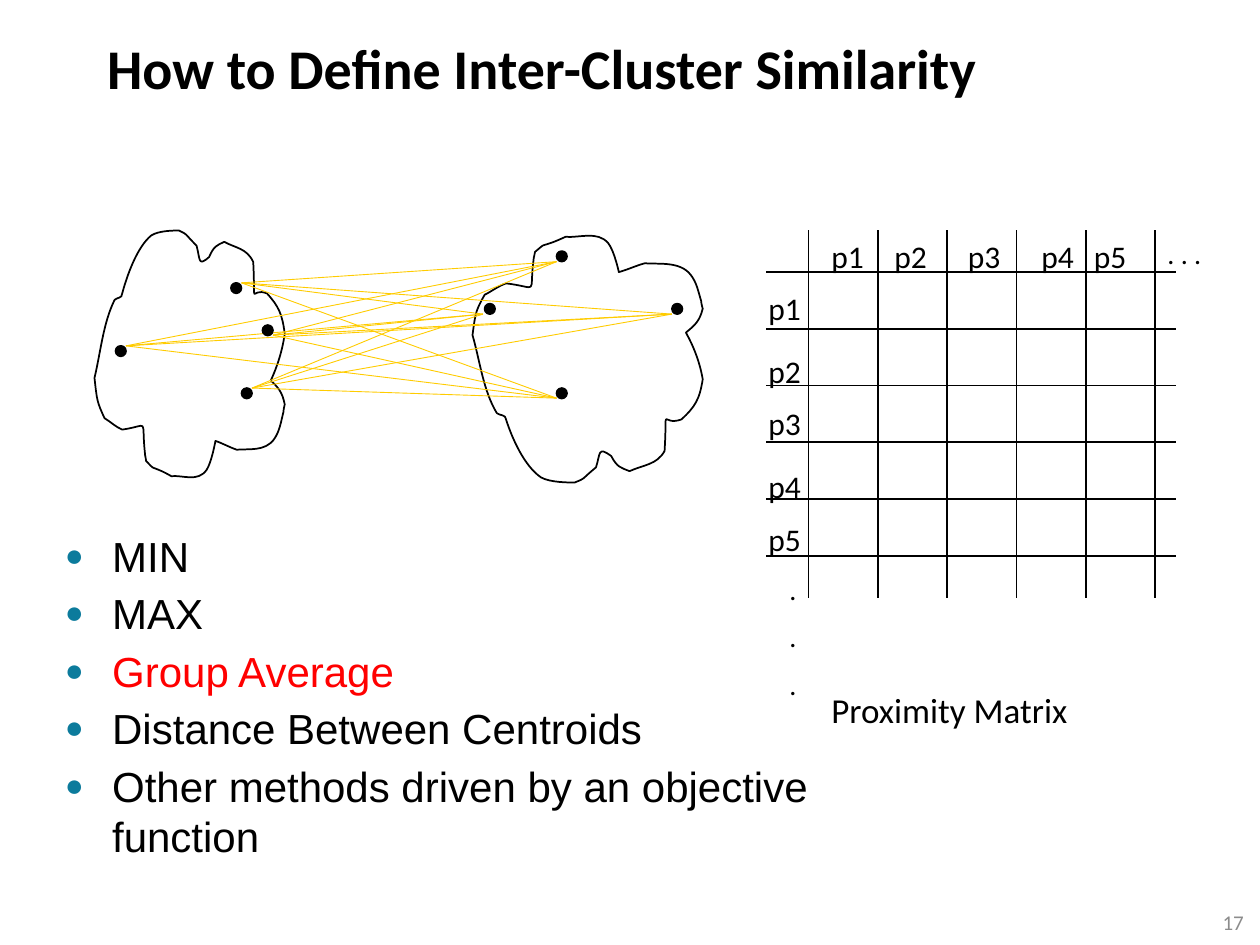
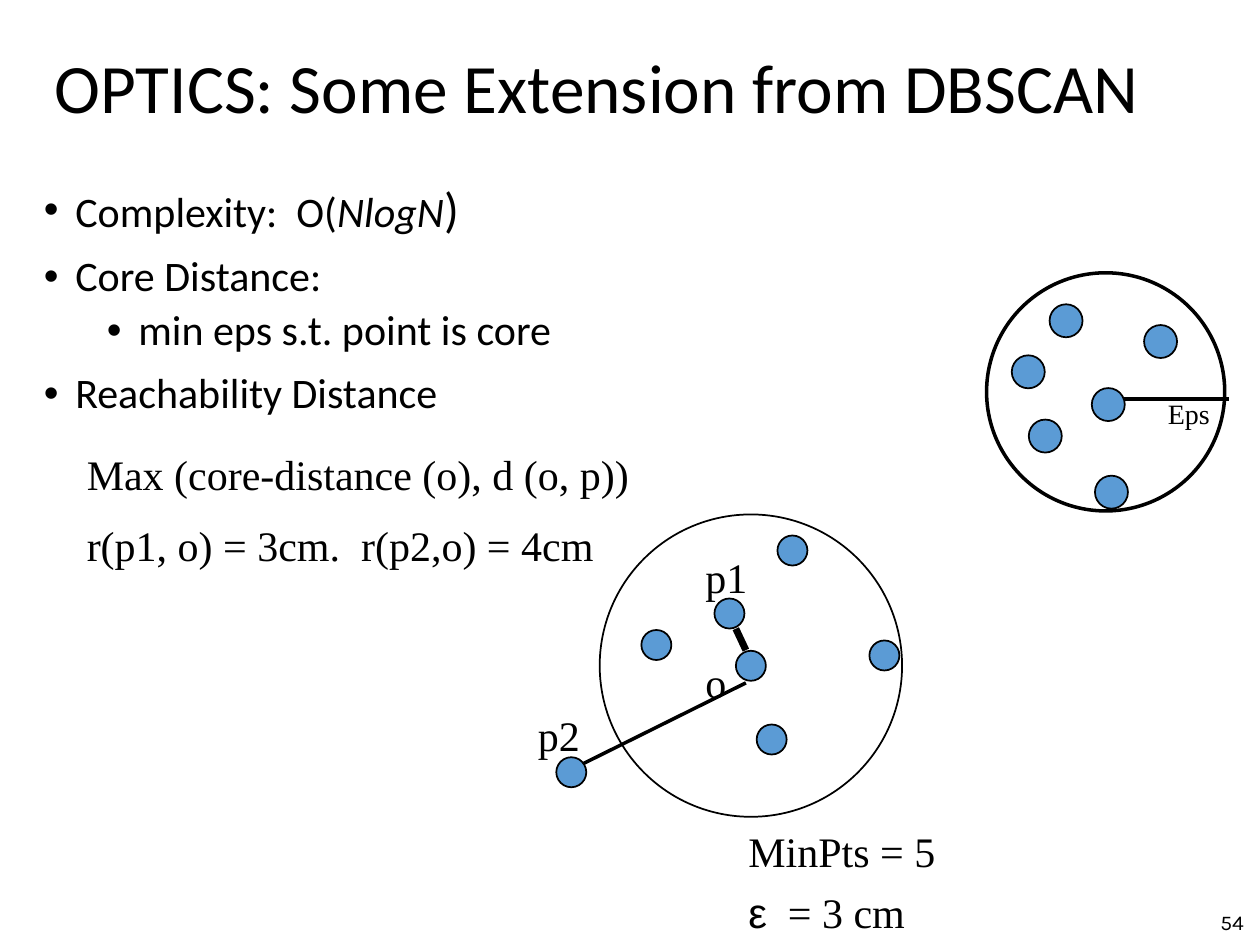
from dataclasses import dataclass
from itertools import product

from lxml import etree
from pptx import Presentation, util as u
from pptx.dml.color import RGBColor
from pptx.enum import shapes, text
from pptx.oxml.ns import qn


@dataclass(frozen=True)
class Theme:
    black: str = "000000"
    gray: str = "8C8C8C"
    red: str = "FF0000"
    teal: str = "0C7B9C"
    yellow: str = "FFCC00"
    blue: str = "5B9BD5"
    sans: str = "Calibri"
    plain: str = "Arial"
    serif: str = "Times New Roman"
    number_font: str = "Karla"
    body: float = 24
    big: float = 28
    caption: float = 20
    label: float = 18
    small: float = 16
    number: float = 12


theme = Theme()
presentation = Presentation()
presentation.slide_width, presentation.slide_height = u.Inches(10), u.Inches(7.5)
# Every position below counts columns and rows of this grid.
COLUMN = presentation.slide_width // 100
ROW = presentation.slide_height // 75


def add_text(slide, box, lines, font, size, color=theme.black, gap=0):
    """Add a wrapped text box with one paragraph per line, gap points apart."""
    left, top, width, height = box
    shape = slide.shapes.add_textbox(
        int(left * COLUMN), int(top * ROW), int(width * COLUMN), int(height * ROW))
    frame = shape.text_frame
    frame.word_wrap = True
    frame.text = "\n".join(lines)
    for index, paragraph in enumerate(frame.paragraphs):
        paragraph.space_before = u.Pt(gap if index else 0)
        for run in paragraph.runs:
            run.font.name, run.font.size = font, u.Pt(size)
            run.font.color.rgb = RGBColor.from_string(color)
    return frame


def style_shape(shape, weight, color=theme.black, fill=None):
    """Set line and fill and drop the shadow; connectors have no fill."""
    shape.line.width = u.Pt(weight)
    shape.line.color.rgb = RGBColor.from_string(color)
    if not hasattr(shape, "fill"):
        etree.SubElement(shape._element.spPr, qn("a:effectLst"))
        return
    shape.shadow.inherit = False
    if fill:
        shape.fill.solid()
        shape.fill.fore_color.rgb = RGBColor.from_string(fill)
    else:
        shape.fill.background()


# Titles and page numbers
slides = []
for heading, box, size, bold, number, number_font, number_color in (
    ("How to Define Inter-Cluster Similarity", (7.5, 3.1, 86.2, 5.2), 32, True,
     "17", theme.sans, theme.gray),
    ("OPTICS: Some Extension from DBSCAN", (3.33, 4.8, 92.5, 4.8), 39.6, False,
     "54", theme.number_font, theme.black),
):
    slide = presentation.slides.add_slide(presentation.slide_layouts[5])
    title = slide.shapes.title
    title.left, title.width = int(box[0] * COLUMN), int(box[2] * COLUMN)
    title.top, title.height = int(box[1] * ROW), int(box[3] * ROW)
    frame = title.text_frame
    frame.text = heading
    frame.auto_size = text.MSO_AUTO_SIZE.NONE
    frame.vertical_anchor = text.MSO_ANCHOR.MIDDLE
    paragraph = frame.paragraphs[0]
    paragraph.alignment, paragraph.line_spacing = text.PP_ALIGN.LEFT, 0.9
    font = paragraph.runs[0].font
    font.name, font.size, font.bold = theme.sans, u.Pt(size), bold
    font.color.rgb = RGBColor.from_string(theme.black)

    frame = add_text(slide, (77.2, 72, 22.5, 2.3), [number], number_font,
                     theme.number, number_color)
    frame.vertical_anchor = text.MSO_ANCHOR.MIDDLE
    frame.paragraphs[0].alignment = text.PP_ALIGN.RIGHT
    slides.append(slide)
similarity, optics = slides

# Proximity matrix
matrix_lines = []
for index in range(6):
    x, y = 64.17 + 5.5 * index, 21.6 + 4.5 * index
    matrix_lines += [(x, 18.26, x, 47.43), (60.83, y, 93.33, y)]
column_lefts = (65, 70, 75.83, 81.67, 85.83)
row_tops = (22.43, 27.43, 31.6, 36.6, 40.77)
for index, (left, top) in enumerate(zip(column_lefts, row_tops), 1):
    for label_left, label_top in ((left, 18.3), (60, top)):
        add_text(similarity, (label_left, label_top, 5.8, 3.3), [f"p{index}"],
                 theme.sans, theme.label)
add_text(similarity, (91.67, 18.3, 5.8, 3.7), [". . ."], theme.sans, theme.small)
add_text(similarity, (61.67, 44.93, 5.8, 11.7), [".", ".", "."], theme.sans,
         theme.small, gap=8)
add_text(similarity, (65, 54.15, 27.5, 4.3), ["Proximity Matrix"], theme.sans,
         theme.caption)

# Cluster outline: a start point, then two controls and an end for each curve,
# in tenths of a column or row. The right cluster is wider and flipped.
outline = (
    (91, 238),
    (82, 256), (80, 279), (75, 300), (77, 318), (77, 319), (83, 332),
    (88, 335), (92, 339), (97, 341), (119, 338), (112, 331), (115, 359),
    (115, 362), (116, 364), (116, 366), (123, 373), (119, 370), (126, 373),
    (129, 374), (136, 378), (136, 378), (145, 377), (157, 383), (164, 373),
    (168, 367), (171, 350), (171, 350), (177, 352), (182, 355), (188, 357),
    (196, 356), (211, 359), (218, 348), (222, 342), (223, 335), (225, 327),
    (225, 325), (226, 321), (226, 321), (224, 311), (221, 308), (215, 302),
    (220, 291), (224, 279), (226, 265), (224, 249), (221, 243), (212, 233),
    (198, 227), (203, 248), (201, 208), (196, 197), (187, 197), (178, 192),
    (172, 195), (170, 195), (166, 204), (157, 212), (159, 206), (156, 195),
    (145, 184), (150, 187), (142, 183), (138, 183), (126, 183), (120, 187),
    (109, 196), (101, 218), (97, 233), (97, 237), (93, 236), (91, 238),
)
for cluster_left, stretch, flipped in ((7.5, 1, False), (37.5, 1.21, True)):
    anchors = [(int((cluster_left + (x - 75) / 10 * stretch) * COLUMN),
                int((566 - y if flipped else y) / 10 * ROW)) for x, y in outline]
    builder = similarity.shapes.build_freeform(*anchors[0])
    builder.add_line_segments(anchors[1:], close=True)
    cluster = builder.convert_to_shape()
    style_shape(cluster, 1)
    # Each run of three straight segments becomes one Bézier curve.
    segments = list(cluster._element.iter(qn("a:lnTo")))
    for start in range(0, len(outline) - 1, 3):
        curve = etree.Element(qn("a:cubicBezTo"))
        segments[start].addprevious(curve)
        for segment in segments[start:start + 3]:
            curve.append(segment[0])
            segment.getparent().remove(segment)

# Cluster members and the links between every pair of them
DOT = 0.83
left_dots = ((19.17, 30.8), (20.83, 25.8), (9.17, 27.45), (18.33, 22.45))
right_dots = ((44.17, 30.8), (38.46, 24.1), (44.17, 19.93), (53.33, 24.1))
left_ends = ((20, 30.8), (21.67, 26.6), (10, 27.45), (19.17, 22.45))
right_ends = ((44.17, 31.6), (38.33, 24.93), (44.17, 20.77), (53.33, 24.93))
links = [start + end for start, end in product(left_ends, right_ends)]

for slide, segments, weight, color in (
    (similarity, matrix_lines, 1, theme.black),
    (similarity, links, 0.5, theme.yellow),
    (optics, [(89.2, 31.67, 97.5, 31.67), (59.2, 54.2, 45.9, 60.8)], 2, theme.black),
    (optics, [(58.4, 49.9, 59.2, 51.6)], 4, theme.black),
):
    for x1, y1, x2, y2 in segments:
        connector = slide.shapes.add_connector(
            shapes.MSO_CONNECTOR.STRAIGHT, int(x1 * COLUMN), int(y1 * ROW),
            int(x2 * COLUMN), int(y2 * ROW))
        style_shape(connector, weight, color)

# Dots and neighbourhood circles: left, top, diameter
POINT, LARGE_POINT = 2.38, 2.62
epsilon_points = ((86.9, 37.75), (90.8, 25.8), (81.65, 33.3), (86.65, 30.8),
                  (83.3, 24.15), (80.3, 28.2))
reach_points = ((56.7, 47.5), (50.9, 50), (58.4, 51.65), (60.05, 57.5),
                (69, 50.83), (61.7, 42.5), (44.15, 60.1))
circles = [(similarity, x, y, DOT, 1, theme.black) for x, y in left_dots + right_dots]
circles += [(optics, 78.3, 21.65, 18.9, 2, None), (optics, 47.6, 40.83, 24, 1, None)]
circles += [(optics, x, y, LARGE_POINT, 1, theme.blue) for x, y in epsilon_points]
circles += [(optics, x, y, POINT, 1, theme.blue) for x, y in reach_points]
for slide, x, y, diameter, weight, fill in circles:
    circle = slide.shapes.add_shape(
        shapes.MSO_SHAPE.OVAL, int(x * COLUMN), int(y * ROW),
        int(diameter * COLUMN), int(diameter * ROW))
    style_shape(circle, weight, fill=fill)

# Labels and formulas on the OPTICS slide
for label, left, top in (("p1", 55, 43.3), ("o", 55, 51.6), ("p2", 41.7, 55.8)):
    add_text(optics, (left, top, 5.8, 5), [label], theme.serif, theme.body)
add_text(optics, (91.7, 31, 7.5, 3.7), ["Eps"], theme.serif, theme.small)
add_text(optics, (5.9, 35.1, 47.5, 11.1),
         ["Max (core-distance (o), d (o, p))", "r(p1, o) = 3cm.  r(p2,o) = 4cm"],
         theme.serif, theme.body, gap=12)
parameters = add_text(optics, (58.4, 65, 19.2, 9.9), ["MinPts = 5", "ε"],
                      theme.serif, theme.body, gap=6)
epsilon = parameters.paragraphs[1]
epsilon.runs[0].font.name = theme.plain
value = epsilon.add_run()
value.text = "  = 3 cm"
value.font.name, value.font.size = theme.serif, u.Pt(theme.body)
value.font.color.rgb = RGBColor.from_string(theme.black)

# Bulleted lists
measures = add_text(
    similarity, (4.17, 41.6, 63.3, 27.5),
    ["MIN", "MAX", "Group Average", "Distance Between Centroids",
     "Other methods driven by an objective function"],
    theme.plain, theme.body, gap=2)
measures.paragraphs[2].runs[0].font.color.rgb = RGBColor.from_string(theme.red)
for paragraph in measures.paragraphs:
    paragraph.space_after = u.Pt(2)

distances = add_text(
    optics, (2.5, 14.2, 56.7, 43.3),
    ["Complexity:  O(", "Core Distance:", "min eps s.t. point is core",
     "Reachability Distance"],
    theme.sans, theme.body, gap=10)
for content, size, italic in (("NlogN", theme.body, True), (")", theme.big, False)):
    run = distances.paragraphs[0].add_run()
    run.text = content
    run.font.name, run.font.size, run.font.italic = theme.sans, u.Pt(size), italic
    run.font.color.rgb = RGBColor.from_string(theme.black)
distances.paragraphs[2].level = 1
distances.paragraphs[2].space_before = u.Pt(5)

for frame, hang, spacing, symbol, color, percent in (
    (measures, 3.75, 1, "●", theme.teal, 75),
    (distances, 2.5, 0.9, "•", theme.black, 100),
):
    for paragraph in frame.paragraphs:
        paragraph.line_spacing = float(spacing)
        properties = paragraph._p.get_or_add_pPr()
        properties.set("marL", str(int((hang + 5 * paragraph.level) * COLUMN)))
        properties.set("indent", str(int(-hang * COLUMN)))
        bullet_color = etree.SubElement(properties, qn("a:buClr"))
        etree.SubElement(bullet_color, qn("a:srgbClr"), val=color)
        etree.SubElement(properties, qn("a:buSzPct"), val=str(percent * 1000))
        etree.SubElement(properties, qn("a:buFont"), typeface=theme.plain)
        etree.SubElement(properties, qn("a:buChar"), char=symbol)

presentation.save("out.pptx")
